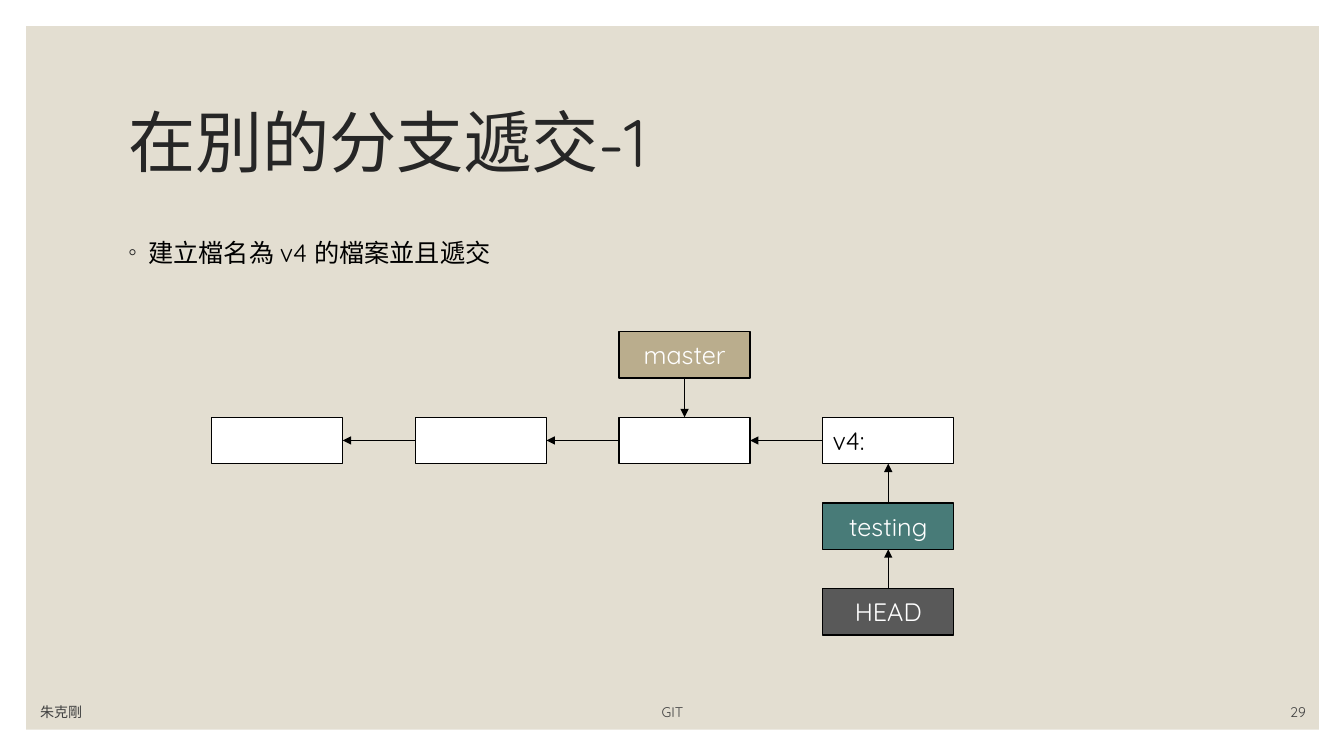
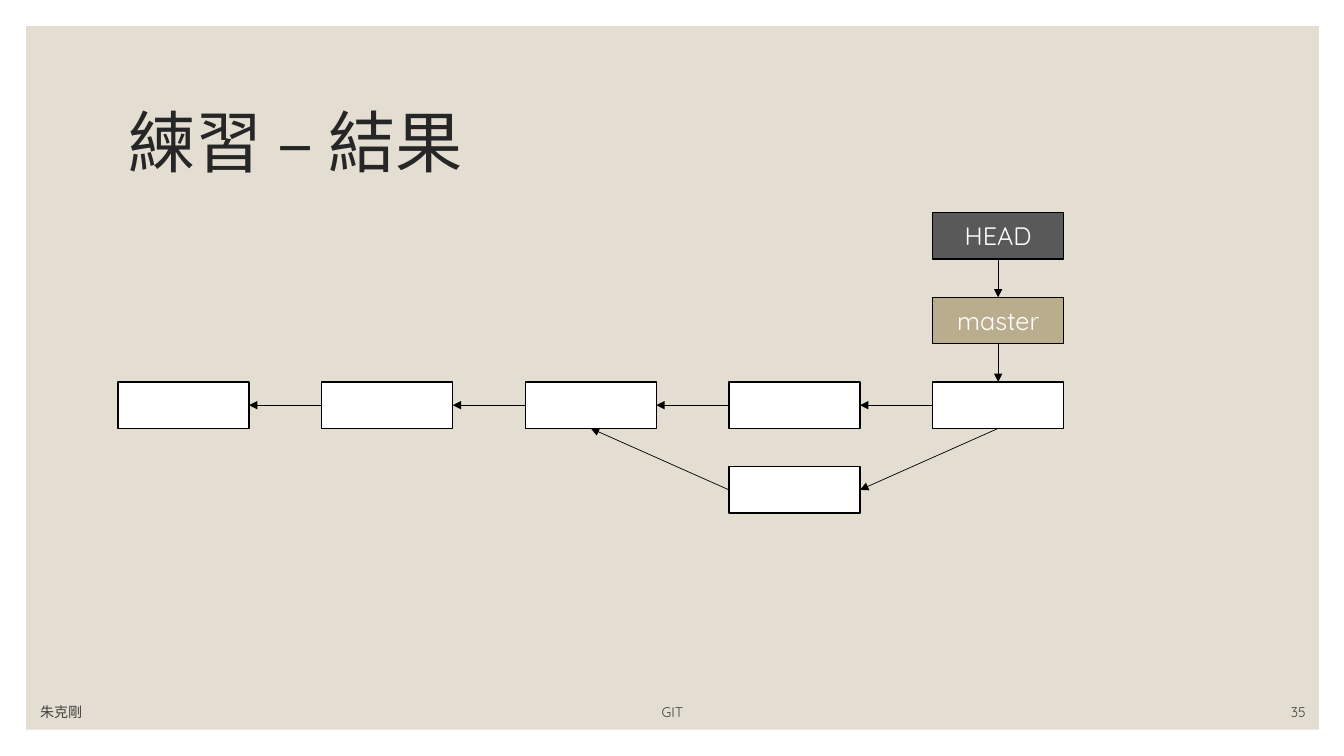
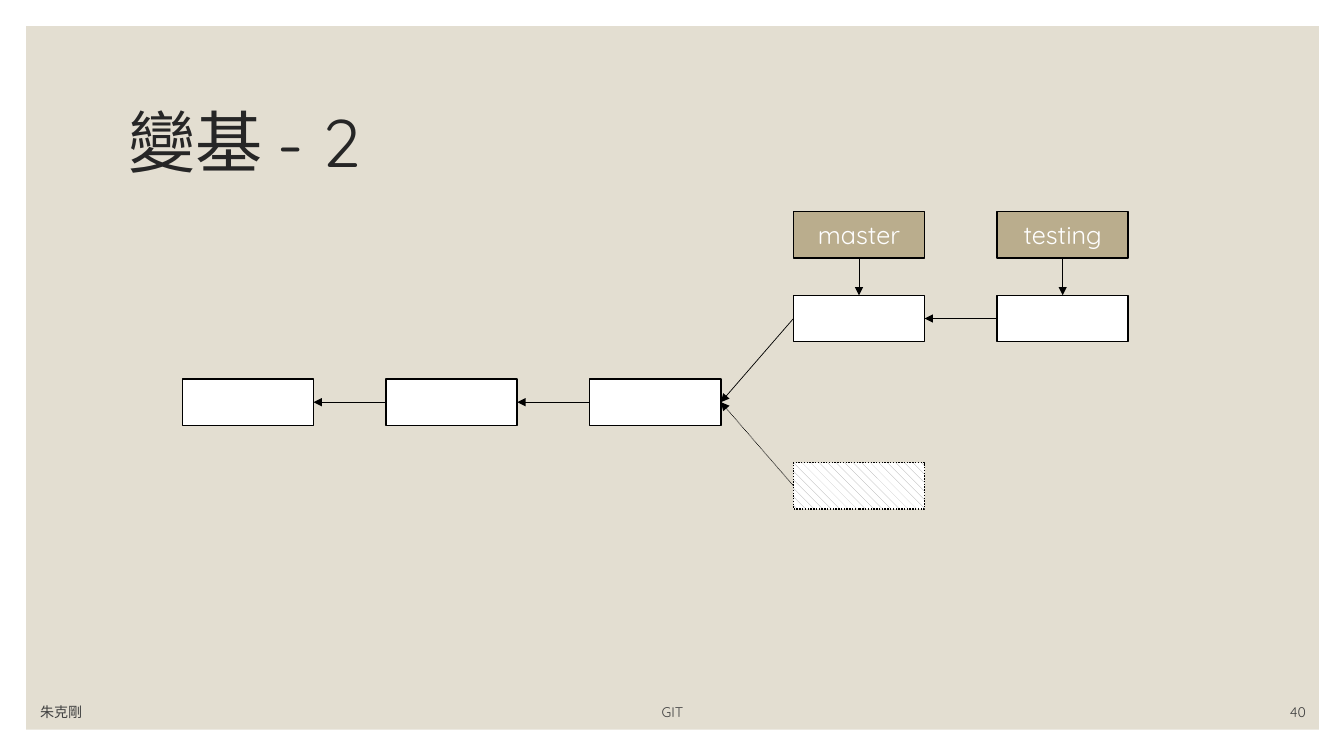
from lxml.etree import SubElement
from pptx import Presentation
from pptx.dml.color import RGBColor
from pptx.enum.dml import MSO_LINE, MSO_PATTERN
from pptx.enum.shapes import MSO_CONNECTOR, MSO_SHAPE
from pptx.enum.text import MSO_ANCHOR, MSO_AUTO_SIZE, PP_ALIGN
from pptx.oxml.ns import qn
from pptx.util import Pt

PX = 9144
RECT = MSO_SHAPE.RECTANGLE
LINE = MSO_CONNECTOR.STRAIGHT
DOT = MSO_LINE.ROUND_DOT
HATCH = MSO_PATTERN.DASHED_DOWNWARD_DIAGONAL
TOP, MID, LOW = MSO_ANCHOR.TOP, MSO_ANCHOR.MIDDLE, MSO_ANCHOR.BOTTOM
LEFT, MIDST, RIGHT = PP_ALIGN.LEFT, PP_ALIGN.CENTER, PP_ALIGN.RIGHT
FIXED = MSO_AUTO_SIZE.NONE
N, W, S, E = range(4)

FONT = "Quicksand"
SAND, GRAY, TAN, TEAL = "E3DED1", "595959", "BAAD8D", "487B78"
WHITE, BLACK, INK, DIM, PALE = "FFFFFF", "000000", "262626", "404040", "A6A6A6"
NODE_W, NODE_H, STEP = 130, 46, 202

FOOT = [((30, 690, 300, 30), LEFT), ((382, 690, 570, 30), MIDST),
        ((1145, 690, 160, 30), RIGHT)]

SLIDES = [
    {"title": "在別的分支遞交-1", "body": "建立檔名為 v4 的檔案並且遞交", "num": "29",
     "at": (210, 329), "rise": 85,
     "nodes": {"a": (0, 1), "b": (1, 1), "c": (2, 1),
               "v4": (3, 1, "v4:", WHITE), "master": (2, 0, "master", TAN),
               "test": (3, 2, "testing", TEAL), "head": (3, 3, "HEAD", GRAY)},
     "links": [("b", W, "a", E), ("c", W, "b", E), ("v4", W, "c", E),
               ("master", S, "c", N), ("test", N, "v4", S),
               ("head", N, "test", S)]},
    {"title": "練習 – 結果", "num": "35",
     "at": (117, 211), "rise": 84,
     "nodes": {"a": (0, 2), "b": (1, 2), "c": (2, 2), "d": (3, 2),
               "side": (3, 3), "merge": (4, 2),
               "head": (4, 0, "HEAD", GRAY), "master": (4, 1, "master", TAN)},
     "links": [("b", W, "a", E), ("c", W, "b", E), ("d", W, "c", E),
               ("merge", W, "d", E), ("side", W, "c", S),
               ("merge", S, "side", E), ("head", S, "master", N),
               ("master", S, "merge", N)]},
    {"title": "變基 - 2", "num": "40",
     "at": (181, 210), "rise": 83,
     "nodes": {"a": (0, 2), "b": (1, 2), "c": (2, 2), "d": (3, 1),
               "old": (3, 3, "", None), "e": (4, 1),
               "master": (3, 0, "master", TAN), "test": (4, 0, "testing", TAN)},
     "links": [("b", W, "a", E), ("c", W, "b", E), ("d", W, "c", E),
               ("old", W, "c", E), ("e", W, "d", E),
               ("master", S, "d", N), ("test", S, "e", N)]},
]


def put(item, vals):
    for key, val in vals.items():
        setattr(item, key, val)


def rgb(code):
    return RGBColor.from_string(code)


def place(item, box):
    put(item, dict(zip(("left", "top", "width", "height"),
                       (n * PX for n in box))))


def write(shape, text, size, tint, align=LEFT, anchor=MID, lead=1.0):
    frame = shape.text_frame
    put(frame, {"word_wrap": True, "auto_size": FIXED,
                "vertical_anchor": anchor})
    para = frame.paragraphs[0]
    put(para, {"alignment": align, "line_spacing": lead, "space_before": Pt(0)})
    run = para.add_run()
    run.text = text
    put(run.font, {"name": FONT, "size": Pt(size)})
    run.font.color.rgb = rgb(tint)
    return para


def block(slide, box, tint):
    shape = slide.shapes.add_shape(RECT, *(n * PX for n in box))
    shape.shadow.inherit = False
    if tint:
        shape.fill.solid()
        shape.fill.fore_color.rgb = rgb(tint)
    else:
        shape.fill.patterned()
        shape.fill.pattern = HATCH
        shape.fill.fore_color.rgb = rgb(PALE)
        shape.fill.back_color.rgb = rgb(WHITE)
    return shape


def stroke(line, width, dots):
    line.color.rgb = rgb(BLACK)
    line.width = Pt(width)
    if dots:
        line.dash_style = DOT


def band(deck, slide):
    shape = block(slide, (26, 26, 1282, 698), SAND)
    shape.line.fill.background()
    shape._element.nvSpPr.cNvPr.id = 99
    deck.slide_master.shapes._spTree.insert(2, shape._element)


def node(slide, box, text="", tint=WHITE):
    shape = block(slide, box, tint)
    stroke(shape.line, 1, tint is None)
    if text:
        plain = tint == WHITE
        write(shape, text, 18, BLACK if plain else WHITE,
              LEFT if plain else MIDST)
    return shape


def arrow(slide, start, out, end, into, dots):
    link = slide.shapes.add_connector(LINE, 0, 0, 0, 0)
    link.begin_connect(start, out)
    link.end_connect(end, into)
    stroke(link.line, 0.5, dots)
    SubElement(link.line._get_or_add_ln(), qn("a:tailEnd"), type="triangle")
    SubElement(link._element.spPr, qn("a:effectLst"))


def graph(slide, at, rise, nodes, links):
    left, top = at
    made = {}
    for name, (col, row, *look) in nodes.items():
        box = (left + col * STEP, top + row * rise, NODE_W, NODE_H)
        made[name] = node(slide, box, *look)
    for start, out, end, into in links:
        arrow(slide, made[start], out, made[end], into, start == "old")


def head(slide, box, text):
    place(slide.shapes.title, box)
    write(slide.shapes.title, text, 48, INK, lead=0.9)


def body(slide, box, text):
    shape = slide.placeholders[1]
    place(shape, box)
    para = write(shape, text, 18, BLACK, anchor=TOP)
    props = para._p.get_or_add_pPr()
    put_in = {"marL": 20 * PX, "indent": -20 * PX}
    for key, val in put_in.items():
        props.set(key, str(val))
    tint = SubElement(props, qn("a:buClr"))
    SubElement(tint, qn("a:srgbClr"), val=INK)
    SubElement(props, qn("a:buChar"), char="◦")


def foot(slide, num):
    for (box, align), text in zip(FOOT, ("朱克剛", "GIT", num)):
        shape = slide.shapes.add_textbox(*(n * PX for n in box))
        write(shape, text, 10, DIM, align, LOW)


def build(deck, plan):
    text = plan.get("body")
    slide = deck.slides.add_slide(deck.slide_layouts[1 if text else 5])
    head(slide, (117, 70, 1100, 150), plan["title"])
    if text:
        body(slide, (117, 230, 1100, 430), text)
    graph(slide, plan["at"], plan["rise"], plan["nodes"], plan["links"])
    foot(slide, plan["num"])
    return slide


def main():
    deck = Presentation()
    put(deck, {"slide_width": 1333 * PX, "slide_height": 750 * PX})
    slides = [build(deck, plan) for plan in SLIDES]
    band(deck, slides[0])
    deck.save("out.pptx")


if __name__ == "__main__":
    main()
